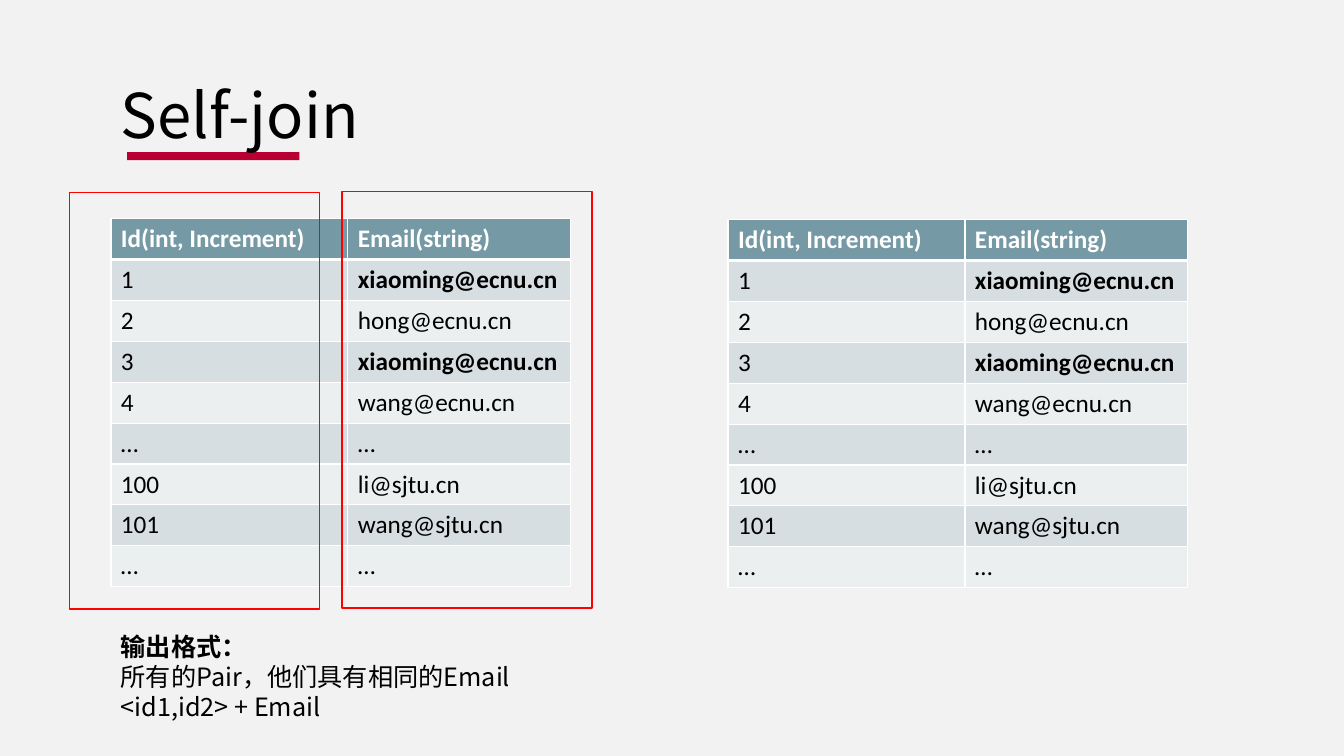
"""Build the self-join slide with two email tables and the output format."""
from lxml import etree
from pptx import Presentation
from pptx.dml.color import RGBColor
from pptx.enum.shapes import MSO_SHAPE
from pptx.enum.text import MSO_ANCHOR, MSO_AUTO_SIZE, PP_ALIGN
from pptx.oxml.ns import qn
from pptx.util import Inches, Pt

RECTANGLE = MSO_SHAPE.RECTANGLE
MIDDLE, TOP = MSO_ANCHOR.MIDDLE, MSO_ANCHOR.TOP
LEFT = PP_ALIGN.LEFT
NO_FIT = MSO_AUTO_SIZE.NONE
GROW = MSO_AUTO_SIZE.SHAPE_TO_FIT_TEXT

TITLE_ONLY = 5
LATIN, CJK = "Calibri", "Noto Sans CJK SC"
BLACK, WHITE, RED, CRIMSON = "000000", "FFFFFF", "FF0000", "B70031"
BACKGROUND, HEADER = "F2F2F2", "759AA5"
BANDS = ("D6DEE1", "ECEFF0")

REPEATED_EMAIL = "xiaoming@ecnu.cn"
USERS = [
    ("Id(int, Increment)", "Email(string)"),
    ("1", REPEATED_EMAIL),
    ("2", "hong@ecnu.cn"),
    ("3", REPEATED_EMAIL),
    ("4", "wang@ecnu.cn"),
    ("…", "…"),
    ("100", "li@sjtu.cn"),
    ("101", "wang@sjtu.cn"),
    ("…", "…"),
]
OUTPUT_FORMAT = ["输出格式：", "所有的Pair，他们具有相同的Email", "<id1,id2> + Email"]


def rgb(hex_color):
    return RGBColor.from_string(hex_color)


def apply_format(target, values):
    for name, value in values.items():
        setattr(target, name, value)


class SlideBuilder:
    def __init__(self, deck):
        self.slide = deck.slides.add_slide(deck.slide_layouts[TITLE_ONLY])
        fill = self.slide.background.fill
        fill.solid()
        fill.fore_color.rgb = rgb(BACKGROUND)

    def styled_run(self, paragraph, text, size=18, font=CJK, color=BLACK, bold=False):
        run = paragraph.add_run()
        run.text = text
        apply_format(run.font, {"name": font, "size": Pt(size), "bold": bold})
        run.font.color.rgb = rgb(color)
        etree.SubElement(run.font._element, qn("a:ea"), typeface=font)
        paragraph.alignment = LEFT

    def title(self, text, left, top, width, height):
        title = self.slide.shapes.title
        apply_format(title, {"left": Inches(left), "top": Inches(top),
                             "width": Inches(width), "height": Inches(height)})
        apply_format(title.text_frame, {"word_wrap": True, "auto_size": NO_FIT,
                                        "vertical_anchor": MIDDLE})
        paragraph = title.text_frame.paragraphs[0]
        paragraph.line_spacing = 0.9
        self.styled_run(paragraph, text, size=44)

    def rectangle(self, left, top, width, height, fill=None, line=None):
        box = self.slide.shapes.add_shape(
            RECTANGLE, Inches(left), Inches(top), Inches(width), Inches(height))
        box.shadow.inherit = False
        if fill:
            box.fill.solid()
            box.fill.fore_color.rgb = rgb(fill)
        else:
            box.fill.background()
        if line:
            box.line.color.rgb = rgb(line)
            box.line.width = Pt(1.25)
        else:
            box.line.fill.background()
        return box

    def title_accent(self, left, top, width, height):
        accent = self.rectangle(left, top, width, height, fill=CRIMSON)
        self.slide.shapes.title._element.addprevious(accent._element)

    def borders(self, cell, row):
        widths = {"L": 1, "R": 1, "T": 3 if row == 1 else 1, "B": 3 if row == 0 else 1}
        properties = cell._tc.get_or_add_tcPr()
        for side, width in widths.items():
            line = etree.SubElement(properties, qn(f"a:ln{side}"), w=str(Pt(width)))
            fill = etree.SubElement(line, qn("a:solidFill"))
            etree.SubElement(fill, qn("a:srgbClr"), val=WHITE)

    def table(self, rows, left, top, column_widths, height):
        table = self.slide.shapes.add_table(
            len(rows), len(column_widths), Inches(left), Inches(top),
            Inches(sum(column_widths)), Inches(height)).table
        for column, width in zip(table.columns, column_widths):
            column.width = Inches(width)
        for row, values in enumerate(rows):
            is_header = row == 0
            for column, text in enumerate(values):
                cell = table.cell(row, column)
                self.borders(cell, row)
                cell.fill.solid()
                cell.fill.fore_color.rgb = rgb(HEADER if is_header else BANDS[(row - 1) % 2])
                self.styled_run(cell.text_frame.paragraphs[0], text, font=LATIN,
                                color=WHITE if is_header else BLACK,
                                bold=is_header or text == REPEATED_EMAIL)

    def text_box(self, lines, left, top, width, height):
        frame = self.slide.shapes.add_textbox(
            Inches(left), Inches(top), Inches(width), Inches(height)).text_frame
        apply_format(frame, {"word_wrap": True, "auto_size": GROW, "vertical_anchor": TOP})
        for index, line in enumerate(lines):
            paragraph = frame.add_paragraph() if index else frame.paragraphs[0]
            self.styled_run(paragraph, line, bold=index == 0)


def main():
    deck = Presentation()
    apply_format(deck, {"slide_width": Inches(13.33), "slide_height": Inches(7.5)})
    builder = SlideBuilder(deck)
    builder.title("Self-join", 1.1, 0.45, 3.41, 1.45)
    builder.title_accent(1.26, 1.51, 1.71, 0.08)
    for left, top in ((1.1, 2.17), (7.22, 2.18)):
        builder.table(USERS, left, top, (2.35, 2.21), 3.65)
    builder.text_box(OUTPUT_FORMAT, 1.1, 6.21, 6.67, 1.01)
    for left, top in ((3.39, 1.9), (0.69, 1.91)):
        builder.rectangle(left, top, 2.48, 4.13, line=RED)
    deck.save("out.pptx")


if __name__ == "__main__":
    main()
